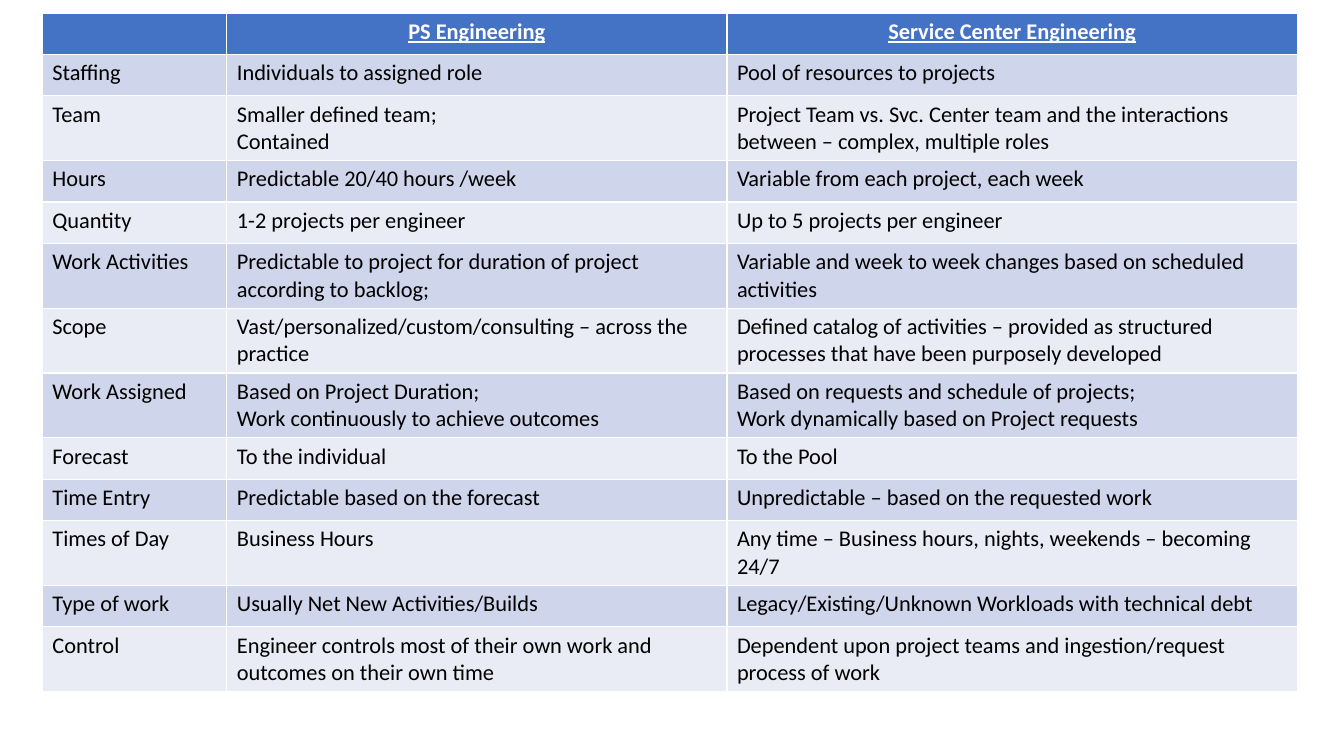
"""Build a slide with a table comparing two engineering models."""
from pptx import Presentation
from pptx.dml.color import RGBColor
from pptx.enum.text import PP_ALIGN
from pptx.util import Inches, Pt

CENTER, LEFT = PP_ALIGN.CENTER, PP_ALIGN.LEFT
FONT, SIZE = "Calibri", 16
COLORS = {"head": "4472C4", "odd": "CFD5EA", "even": "E9EBF5",
          "light": "FFFFFF", "dark": "000000"}
WIDTHS = [1.83, 4.96, 5.66]
LEFT_X, TOP_Y, ROW_H = 0.42, 0.13, 0.41
ROWS = [
    ("", "PS Engineering", "Service Center Engineering"),
    ("Staffing", "Individuals to assigned role",
     "Pool of resources to projects"),
    ("Team", "Smaller defined team;\nContained",
     "Project Team vs. Svc. Center team and the interactions between – complex, multiple roles"),
    ("Hours", "Predictable 20/40 hours /week",
     "Variable from each project, each week"),
    ("Quantity", "1-2 projects per engineer",
     "Up to 5 projects per engineer"),
    ("Work Activities",
     "Predictable to project for duration of project according to backlog;",
     "Variable and week to week changes based on scheduled activities"),
    ("Scope", "Vast/personalized/custom/consulting – across the practice",
     "Defined catalog of activities – provided as structured processes that have been purposely developed"),
    ("Work Assigned",
     "Based on Project Duration;\nWork continuously to achieve outcomes",
     "Based on requests and schedule of projects;\nWork dynamically based on Project requests"),
    ("Forecast", "To the individual", "To the Pool"),
    ("Time Entry", "Predictable based on the forecast",
     "Unpredictable – based on the requested work"),
    ("Times of Day", "Business Hours",
     "Any time – Business hours, nights, weekends – becoming 24/7"),
    ("Type of work", "Usually Net New Activities/Builds",
     "Legacy/Existing/Unknown Workloads with technical debt"),
    ("Control",
     "Engineer controls most of their own work and outcomes on their own time",
     "Dependent upon project teams and ingestion/request process of work"),
]


def color(name):
    return RGBColor.from_string(COLORS[name])


def fill_cell(cell, text, row):
    head = row == 0
    cell.fill.solid()
    cell.fill.fore_color.rgb = color(
        "head" if head else "odd" if row % 2 else "even")
    para = cell.text_frame.paragraphs[0]
    para.text = text
    para.alignment = CENTER if head else LEFT
    for run in para.runs:
        font = run.font
        font.name, font.size = FONT, Pt(SIZE)
        font.bold = font.underline = head
        font.color.rgb = color("light" if head else "dark")


def main():
    deck = Presentation()
    deck.slide_width, deck.slide_height = Inches(13.33), Inches(7.5)
    slide = deck.slides.add_slide(deck.slide_layouts[6])
    table = slide.shapes.add_table(
        len(ROWS), len(WIDTHS), Inches(LEFT_X), Inches(TOP_Y),
        Inches(sum(WIDTHS)), Inches(ROW_H * len(ROWS))).table
    for col, width in zip(table.columns, WIDTHS):
        col.width = Inches(width)
    for r, texts in enumerate(ROWS):
        table.rows[r].height = Inches(ROW_H)
        for c, text in enumerate(texts):
            fill_cell(table.cell(r, c), text, r)
    deck.save("out.pptx")


if __name__ == "__main__":
    main()
